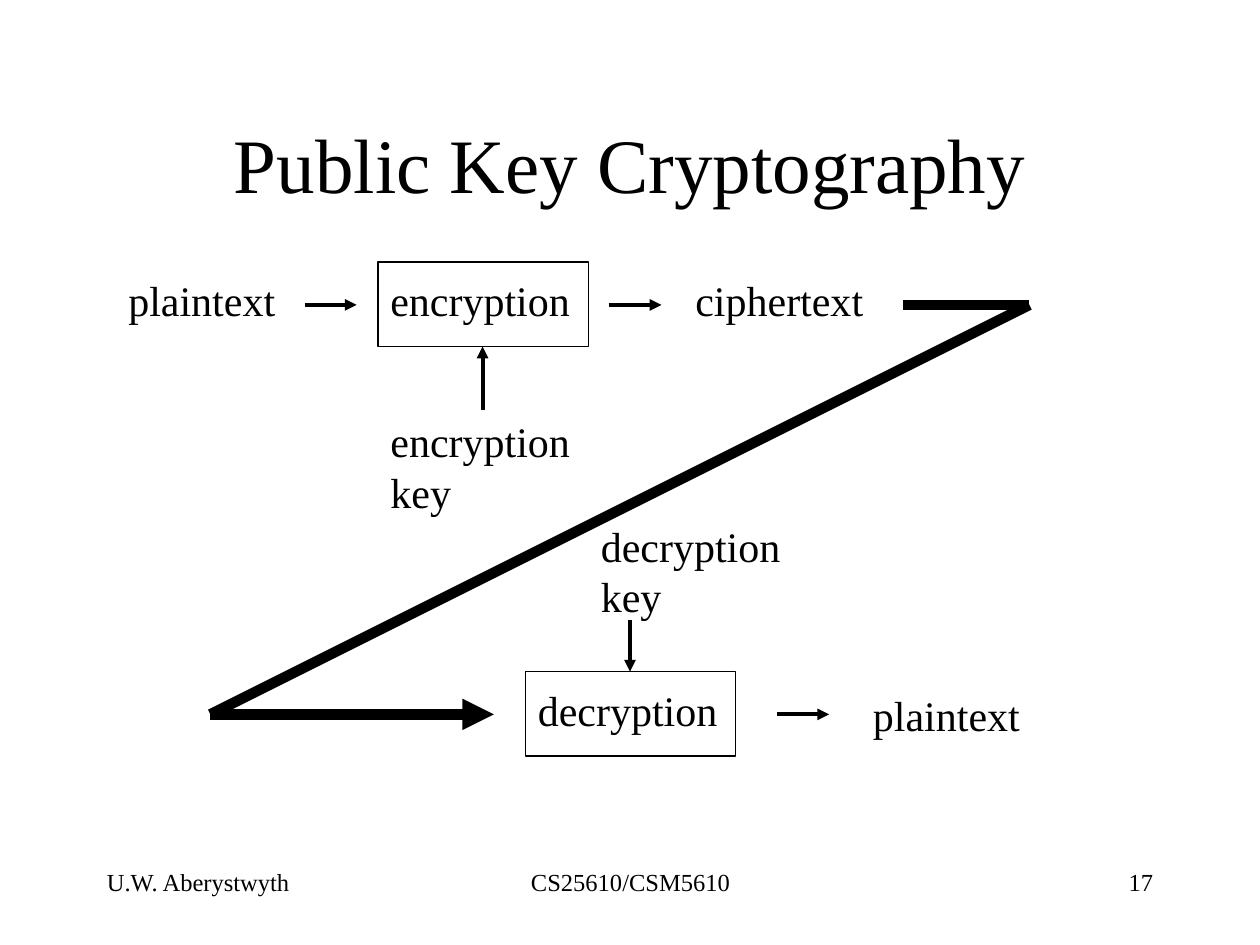
"""Build the Public Key Cryptography slide."""
from dataclasses import dataclass

import pptx
import pptx.dml.color
import pptx.enum.shapes
import pptx.enum.text
import pptx.oxml.ns
import pptx.presentation
import pptx.slide
import pptx.util
from lxml import etree
from pptx.util import Inches

BLACK = pptx.dml.color.RGBColor(0x00, 0x00, 0x00)
FONT = "Times New Roman"
ALIGN = pptx.enum.text.PP_ALIGN
BOX_WIDTH, BOX_HEIGHT = 1.67, 0.67
STEP_WIDTH, ROUTE_WIDTH = 2.25, 6
ENCRYPT_Y, DECRYPT_Y = 2.42, 5.67


@dataclass(frozen=True)
class Label:
    text: str
    left: float
    top: float
    width: float
    height: float = 0.5
    size: int = 24
    align: ALIGN = ALIGN.LEFT


@dataclass(frozen=True)
class Link:
    start: tuple[float, float]
    end: tuple[float, float]
    weight: float = STEP_WIDTH
    arrow: bool = True


ROUTE = [(7.17, ENCRYPT_Y), (8.17, ENCRYPT_Y), (1.67, DECRYPT_Y), (3.92, DECRYPT_Y)]
ROUTE_LINKS = [
    Link(start, end, ROUTE_WIDTH, end == ROUTE[-1])
    for start, end in zip(ROUTE, ROUTE[1:])
]
STEP_LINKS = [
    Link((6.17, DECRYPT_Y), (6.58, DECRYPT_Y)),
    Link((5, 4.92), (5, 5.33)),
    Link((2.42, ENCRYPT_Y), (2.83, ENCRYPT_Y)),
    Link((4.83, ENCRYPT_Y), (5.25, ENCRYPT_Y)),
    Link((3.83, 3.25), (3.83, 2.75)),
]
STAGE_BOXES = [(4.17, 5.33), (3, 2.08)]
LABELS = [
    Label("decryption", 4.17, 5.38, BOX_WIDTH),
    Label("plaintext", 6.83, 5.42, 1.42),
    Label("decryption\nkey", 4.67, 4.08, 1.75, 0.9),
    Label("plaintext", 0.92, 2.13, 1.42),
    Label("ciphertext", 5.42, 2.13, 1.58),
    Label("encryption", 3, 2.13, BOX_WIDTH),
    Label("encryption\nkey", 3, 3.25, 1.75, 0.9),
    Label("CS25610/CSM5610", 3.42, 6.83, 3.17, size=14, align=ALIGN.CENTER),
    Label("17", 7.17, 6.83, 2.08, size=14, align=ALIGN.RIGHT),
    Label("U.W. Aberystwyth", 0.75, 6.83, 2.08, size=14),
]


def write(frame: pptx.text.text.TextFrame, text: str, size: int, align: ALIGN) -> None:
    """Put one formatted paragraph in a text frame."""
    frame.word_wrap = True
    paragraph = frame.paragraphs[0]
    paragraph.text = text
    paragraph.alignment = align
    paragraph.font.name = FONT
    paragraph.font.size = pptx.util.Pt(size)
    paragraph.font.color.rgb = BLACK


def add_title(slide: pptx.slide.Slide, text: str) -> None:
    """Place and format the slide title."""
    title = slide.shapes.title
    title.left, title.top = Inches(0.75), Inches(0.67)
    title.width, title.height = Inches(8.5), Inches(1.25)
    title.text_frame.vertical_anchor = pptx.enum.text.MSO_ANCHOR.MIDDLE
    write(title.text_frame, text, 44, ALIGN.CENTER)


def add_label(slide: pptx.slide.Slide, label: Label) -> None:
    """Add a text label."""
    box = slide.shapes.add_textbox(
        Inches(label.left), Inches(label.top), Inches(label.width), Inches(label.height)
    )
    write(box.text_frame, label.text, label.size, label.align)


def add_stage_box(slide: pptx.slide.Slide, left: float, top: float) -> None:
    """Outline a processing stage."""
    stage = slide.shapes.add_shape(
        pptx.enum.shapes.MSO_SHAPE.RECTANGLE,
        Inches(left), Inches(top), Inches(BOX_WIDTH), Inches(BOX_HEIGHT),
    )
    stage.shadow.inherit = False
    stage.fill.background()
    stage.line.color.rgb = BLACK
    stage.line.width = pptx.util.Pt(0.75)


def add_link(slide: pptx.slide.Slide, link: Link) -> None:
    """Draw a line, with an arrowhead at its end when asked."""
    connector = slide.shapes.add_connector(
        pptx.enum.shapes.MSO_CONNECTOR.STRAIGHT,
        *(Inches(length) for length in link.start + link.end),
    )
    connector.line.color.rgb = BLACK
    connector.line.width = pptx.util.Pt(link.weight)
    if link.arrow:
        outline = connector.line._get_or_add_ln()
        etree.SubElement(outline, pptx.oxml.ns.qn("a:tailEnd"), type="triangle")
    etree.SubElement(connector._element.spPr, pptx.oxml.ns.qn("a:effectLst"))


def main() -> None:
    """Build and save the slide."""
    deck = pptx.Presentation()
    deck.slide_width, deck.slide_height = Inches(10), Inches(7.5)
    slide = deck.slides.add_slide(deck.slide_layouts.get_by_name("Title Only"))
    add_title(slide, "Public Key Cryptography")
    for link in ROUTE_LINKS + STEP_LINKS:
        add_link(slide, link)
    for left, top in STAGE_BOXES:
        add_stage_box(slide, left, top)
    for label in LABELS:
        add_label(slide, label)
    deck.save("out.pptx")


if __name__ == "__main__":
    main()
